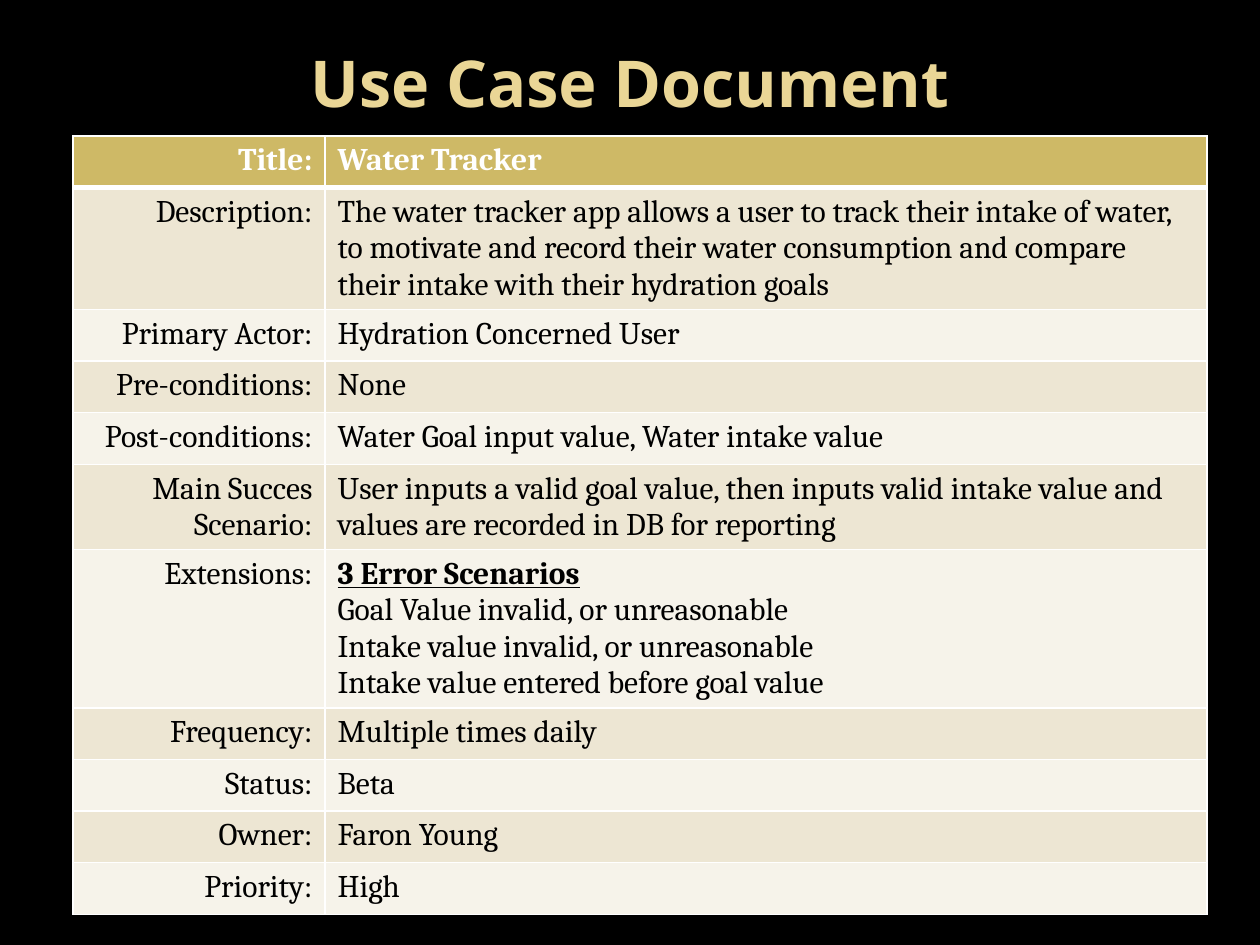
from dataclasses import dataclass

from lxml import etree
from pptx import Presentation
from pptx.dml.color import RGBColor
from pptx.enum.text import MSO_ANCHOR, MSO_AUTO_SIZE, PP_ALIGN
from pptx.oxml.ns import qn
from pptx.util import Inches, Pt

LEFT, RIGHT, CENTER = PP_ALIGN.LEFT, PP_ALIGN.RIGHT, PP_ALIGN.CENTER
MIDDLE = MSO_ANCHOR.MIDDLE
NO_AUTOFIT = MSO_AUTO_SIZE.NONE

BLACK = RGBColor(0x00, 0x00, 0x00)
WHITE = RGBColor(0xFF, 0xFF, 0xFF)
TITLE_GOLD = RGBColor(0xEA, 0xD6, 0x96)
HEADER_GOLD = RGBColor(0xCE, 0xB9, 0x66)
BANDS = (RGBColor(0xED, 0xE6, 0xD3), RGBColor(0xF6, 0xF3, 0xEA))

TITLE_FONT = "Noto Sans"
TABLE_FONT = "Cambria"
ROW_HEIGHT = 0.41
COLUMN_WIDTHS = (2, 7)
THIN, THICK = 1, 3


@dataclass(frozen=True)
class UseCaseField:
    label: str
    lines: tuple[str, ...]
    has_heading: bool = False


FIELDS = (
    UseCaseField("Title:", ("Water Tracker",)),
    UseCaseField("Description:", (
        "The water tracker app allows a user to track their intake of water, "
        "to motivate and record their water consumption and compare "
        "their intake with their hydration goals",)),
    UseCaseField("Primary Actor:", ("Hydration Concerned User",)),
    UseCaseField("Pre-conditions:", ("None",)),
    UseCaseField("Post-conditions:", ("Water Goal input value, Water intake value",)),
    UseCaseField("Main Succes Scenario:", (
        "User inputs a valid goal value, then inputs valid intake value and "
        "values are recorded in DB for reporting",)),
    UseCaseField("Extensions:", (
        "3 Error Scenarios",
        "Goal Value invalid, or unreasonable",
        "Intake value invalid, or unreasonable",
        "Intake value entered before goal value"), has_heading=True),
    UseCaseField("Frequency:", ("Multiple times daily",)),
    UseCaseField("Status:", ("Beta",)),
    UseCaseField("Owner:", ("Faron Young",)),
    UseCaseField("Priority:", ("High",)),
)


def format_font(font, color: RGBColor, **values) -> None:
    for name, value in values.items():
        setattr(font, name, value)
    font.color.rgb = color


def set_borders(cell, top: float, bottom: float) -> None:
    properties = cell._tc.get_or_add_tcPr()
    widths = {"a:lnL": THIN, "a:lnR": THIN, "a:lnT": top, "a:lnB": bottom}
    for index, (tag, width) in enumerate(widths.items()):
        line = etree.Element(qn(tag), w=str(Pt(width)))
        fill = etree.SubElement(line, qn("a:solidFill"))
        etree.SubElement(fill, qn("a:srgbClr"), val=str(WHITE))
        properties.insert(index, line)


def fill_cell(cell, lines: tuple[str, ...], alignment, row: int,
              has_heading: bool = False) -> None:
    is_header = row == 0
    cell.fill.solid()
    cell.fill.fore_color.rgb = HEADER_GOLD if is_header else BANDS[(row - 1) % 2]
    set_borders(cell, THICK if row == 1 else THIN, THICK if is_header else THIN)
    cell.text_frame.text = "\n".join(lines)
    for index, paragraph in enumerate(cell.text_frame.paragraphs):
        paragraph.alignment = alignment
        is_heading = has_heading and index == 0
        format_font(paragraph.runs[0].font, WHITE if is_header else BLACK,
                    name=TABLE_FONT, size=Pt(18),
                    bold=is_header or is_heading, underline=is_heading)


def add_title(slide, text: str) -> None:
    title = slide.shapes.title
    frame = title.text_frame
    frame.text = text
    placement = {"left": Inches(0.5), "top": Inches(0.3),
                 "width": Inches(9), "height": Inches(0.7)}
    for name, value in placement.items():
        setattr(title, name, value)
    for name, value in {"auto_size": NO_AUTOFIT, "vertical_anchor": MIDDLE}.items():
        setattr(frame, name, value)
    paragraph = frame.paragraphs[0]
    paragraph.alignment = CENTER
    format_font(paragraph.runs[0].font, TITLE_GOLD,
                name=TITLE_FONT, size=Pt(36.9), bold=True)


def add_use_case_table(slide, fields: tuple[UseCaseField, ...]) -> None:
    table = slide.shapes.add_table(
        len(fields), len(COLUMN_WIDTHS), Inches(0.58), Inches(1.08),
        Inches(sum(COLUMN_WIDTHS)), Inches(ROW_HEIGHT * len(fields))).table
    for column, width in zip(table.columns, COLUMN_WIDTHS):
        column.width = Inches(width)
    for row, field in enumerate(fields):
        table.rows[row].height = Inches(ROW_HEIGHT)
        fill_cell(table.cell(row, 0), (field.label,), RIGHT, row)
        fill_cell(table.cell(row, 1), field.lines, LEFT, row, field.has_heading)


# Slide and background
presentation = Presentation()
presentation.slide_width = Inches(10)
presentation.slide_height = Inches(7.5)
slide = presentation.slides.add_slide(presentation.slide_layouts[5])
slide.background.fill.solid()
slide.background.fill.fore_color.rgb = BLACK

# Title and table
add_title(slide, "Use Case Document")
add_use_case_table(slide, FIELDS)

presentation.save("out.pptx")
